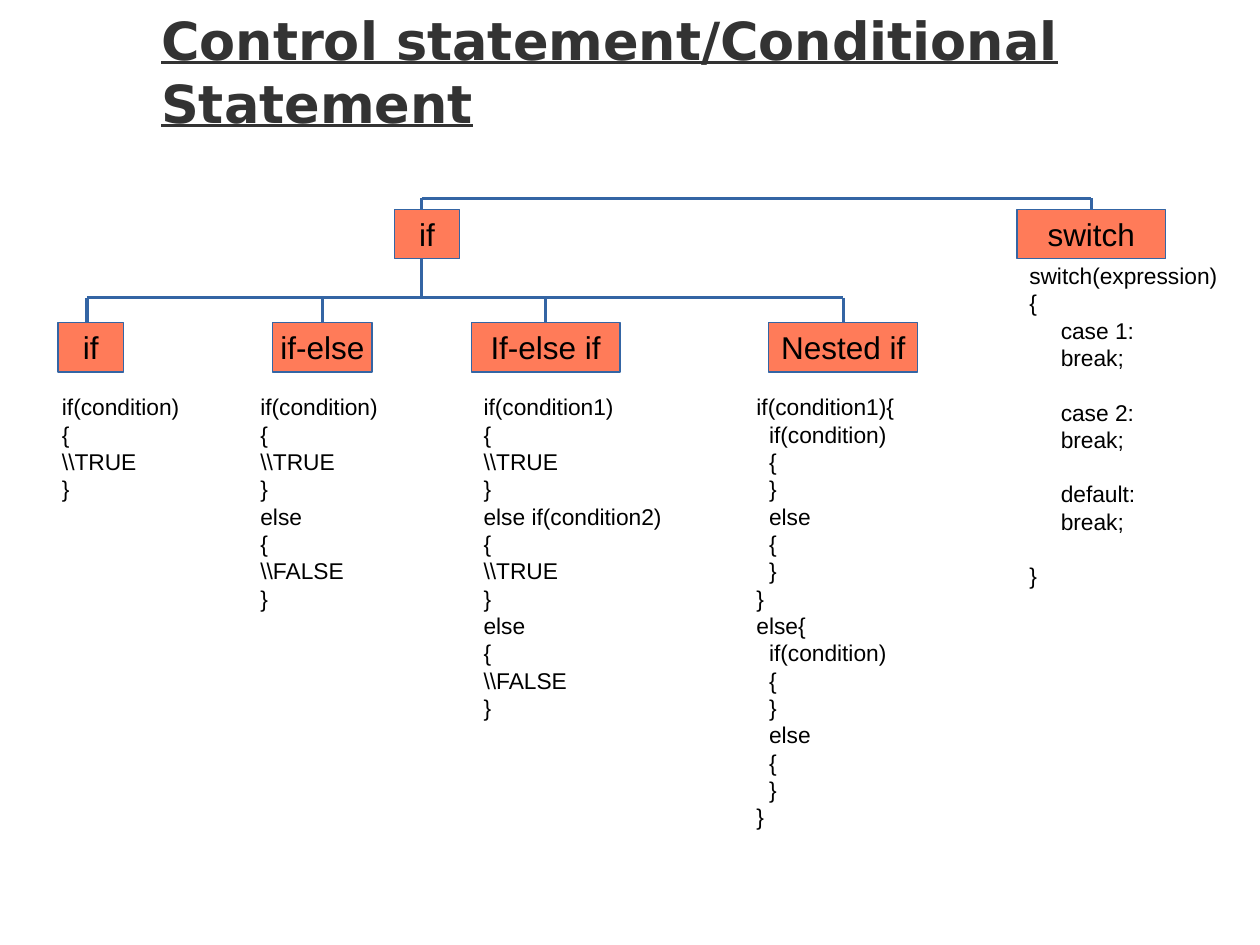
from dataclasses import dataclass
from typing import Optional

from lxml import etree
from pptx import Presentation
from pptx.dml.color import RGBColor
from pptx.enum.shapes import MSO_CONNECTOR as Connector, MSO_SHAPE as Preset
from pptx.enum.text import MSO_ANCHOR as Anchor, PP_ALIGN as Align
from pptx.oxml.ns import qn
from pptx.util import Cm, Pt

COLORS = {"title": "333333", "node": "FF7B59", "line": "3465A4", "text": "000000"}
NODE_HEIGHT = 1
TOP_BUS, TOP_ROW = 4, 4.22
LEAF_BUS, LEAF_ROW = 6, 6.5
CODE_TOP = 7.8
CODE_LINE = Pt(15.6)
TOP_SIDE = 0


@dataclass(frozen=True)
class Node:
    """A box of the tree; lengths are in centimetres."""
    label: str
    left: float
    top: float
    width: float
    branch_x: float  # where its branch meets the bus
    centred: bool = True


@dataclass(frozen=True)
class Code:
    """A listing below a box; a blank line becomes paragraph spacing."""
    left: float
    top: float
    width: float
    height: float
    lines: tuple[str, ...]


def rgb(name: str) -> RGBColor:
    return RGBColor.from_string(COLORS[name])


def style(paragraph, size: float, color: str = "text", name: str = "Arial") -> None:
    paragraph.font.size = Pt(size)
    paragraph.font.name = name
    paragraph.font.color.rgb = rgb(color)


def draw_title(slide, text: str) -> None:
    frame = slide.shapes.add_textbox(Cm(3), Cm(0.03), Cm(22.86), Cm(3.18)).text_frame
    frame.word_wrap = True
    heading = frame.paragraphs[0]
    heading.text = text
    style(heading, 30, "title", "DejaVu Sans")
    heading.font.bold = True
    heading.font.underline = True


def draw_node(slide, node: Node):
    box = slide.shapes.add_shape(Preset.RECTANGLE, Cm(node.left), Cm(node.top),
                                 Cm(node.width), Cm(NODE_HEIGHT))
    box.shadow.inherit = False
    box.fill.solid()
    box.fill.fore_color.rgb = rgb("node")
    box.line.color.rgb = rgb("line")
    box.line.width = Pt(0)
    frame = box.text_frame
    frame.word_wrap = False
    frame.vertical_anchor = Anchor.MIDDLE
    label = frame.paragraphs[0]
    label.text = node.label
    label.alignment = Align.CENTER
    style(label, 18)
    return box


def draw_line(slide, x1: float, y1: float, x2: float, y2: float):
    line = slide.shapes.add_connector(Connector.STRAIGHT, Cm(x1), Cm(y1), Cm(x2), Cm(y2))
    line.line.color.rgb = rgb("line")
    line.line.width = Pt(0)
    etree.SubElement(line._element.spPr, qn("a:effectLst"))
    return line


def draw_level(slide, nodes: tuple[Node, ...], bus_y: float) -> None:
    """Draw a row of boxes hanging from one horizontal line."""
    draw_line(slide, nodes[0].branch_x, bus_y, nodes[-1].branch_x, bus_y)
    for node in nodes:
        box = draw_node(slide, node)
        branch = draw_line(slide, node.branch_x, bus_y, node.branch_x, node.top)
        if node.centred:
            branch.end_connect(box, TOP_SIDE)


def draw_code(slide, code: Code) -> None:
    frame = slide.shapes.add_textbox(Cm(code.left), Cm(code.top),
                                     Cm(code.width), Cm(code.height)).text_frame
    frame.word_wrap = True
    previous: Optional[str] = None
    for line in code.lines:
        if line:
            paragraph = frame.paragraphs[0] if previous is None else frame.add_paragraph()
            paragraph.text = line
            if previous == "":
                paragraph.space_before = CODE_LINE
            style(paragraph, 13)
        previous = line


# Boxes of the tree
STATEMENTS = (
    Node("if", 7.95, TOP_ROW, 1.32, 8.5, centred=False),
    Node("switch", 20.5, TOP_ROW, 3, 22),
)
IF_FORMS = (
    Node("if", 1.17, LEAF_ROW, 1.32, 1.75, centred=False),
    Node("if-else", 5.5, LEAF_ROW, 2, 6.5),
    Node("If-else if", 9.5, LEAF_ROW, 3, 11),
    Node("Nested if", 15.5, LEAF_ROW, 3, 17),
)

# Listings
TRUE_BLOCK = ("{", r"\\TRUE", "}")
ELSE_BLOCK = ("else", "{", r"\\FALSE", "}")
INNER_IF = ("  if(condition)", "  {", "  }", "  else", "  {", "  }")
LISTINGS = (
    Code(1, CODE_TOP, 3.5, 3.63, ("if(condition)", *TRUE_BLOCK)),
    Code(5, CODE_TOP, 3.5, 4.65, ("if(condition)", *TRUE_BLOCK, *ELSE_BLOCK)),
    Code(9.5, CODE_TOP, 4.5, 7.34, ("if(condition1)", *TRUE_BLOCK,
                                    "else if(condition2)", *TRUE_BLOCK, *ELSE_BLOCK)),
    Code(15, CODE_TOP, 4.5, 9.07, ("if(condition1){", *INNER_IF, "}",
                                   "else{", *INNER_IF, "}")),
    Code(20.5, 5.15, 4.5, 7.34, ("switch(expression)", "{",
                                 "     case 1:", "     break;", "",
                                 "     case 2:", "     break;", "",
                                 "     default:", "     break;", "", "}")),
)


def main() -> None:
    deck = Presentation()
    deck.slide_width, deck.slide_height = Cm(25.4), Cm(19.05)
    slide = deck.slides.add_slide(deck.slide_layouts[6])

    draw_title(slide, "Control statement/Conditional Statement")

    # Tree, with the stem from the upper "if" to its forms
    draw_level(slide, STATEMENTS, TOP_BUS)
    stem_x = STATEMENTS[0].branch_x
    draw_line(slide, stem_x, TOP_ROW + NODE_HEIGHT, stem_x, LEAF_BUS)
    draw_level(slide, IF_FORMS, LEAF_BUS)

    for code in LISTINGS:
        draw_code(slide, code)

    deck.save("out.pptx")


if __name__ == "__main__":
    main()
